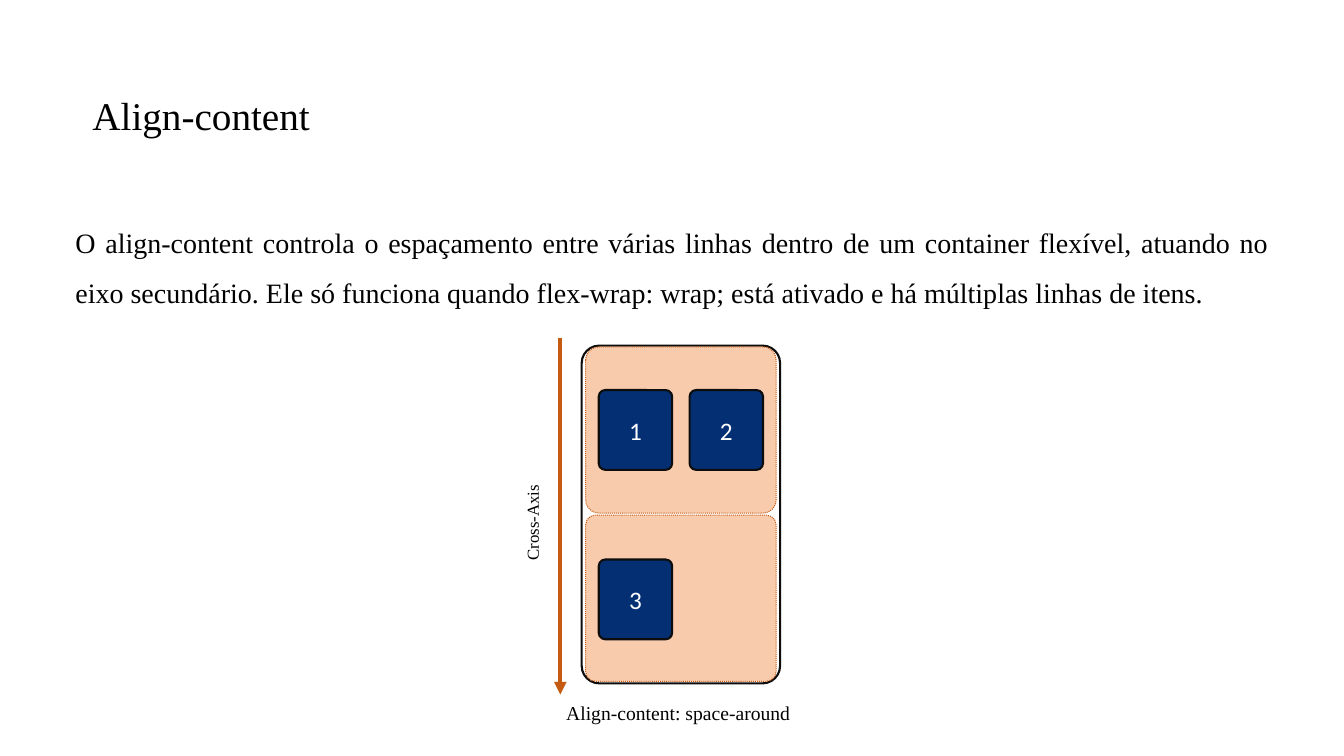
"""Build a slide that explains align-content with a space-around diagram."""
from pptx import Presentation
from pptx.dml.color import RGBColor
from pptx.enum.dml import MSO_LINE
from pptx.enum.shapes import MSO_CONNECTOR, MSO_SHAPE
from pptx.enum.text import MSO_ANCHOR, PP_ALIGN
from pptx.oxml.ns import qn
from pptx.util import Cm, Pt
from lxml.etree import SubElement

HUES = {
    "white": "FFFFFF", "black": "000000", "edge": "0D0D0D",
    "peach": "F8CBAD", "rust": "C55A11", "navy": "043073",
}
color = {name: RGBColor.from_string(code) for name, code in HUES.items()}

deck = Presentation()
deck.slide_width, deck.slide_height = Cm(33.87), Cm(19.05)
slide = deck.slides.add_slide(deck.slide_layouts[6])


def add_box(left, top, width, height, round_by, fill, edge, weight):
    box = slide.shapes.add_shape(
        MSO_SHAPE.ROUNDED_RECTANGLE, Cm(left), Cm(top), Cm(width), Cm(height))
    box.adjustments[0] = round_by
    box.shadow.inherit = False
    box.fill.solid()
    box.fill.fore_color.rgb = color[fill]
    box.line.color.rgb = color[edge]
    box.line.width = Pt(weight)
    return box


def add_text(left, top, width, height, text, size, wrap=True):
    label = slide.shapes.add_textbox(Cm(left), Cm(top), Cm(width), Cm(height))
    label.text_frame.word_wrap = wrap
    para = label.text_frame.paragraphs[0]
    para.text = text
    para.font.name = "Times New Roman"
    para.font.size = Pt(size)
    para.font.color.rgb = color["black"]
    return label, para


title, para = add_text(2.08, 2.36, 26.14, 1.24, "Align-content", 28)
title.text_frame.vertical_anchor = MSO_ANCHOR.MIDDLE
para.line_spacing = 0.9

body, para = add_text(
    1.65, 5.13, 30.58, 3.15,
    "O align-content controla o espaçamento entre várias linhas dentro de um "
    "container flexível, atuando no eixo secundário. Ele só funciona quando "
    "flex-wrap: wrap; está ativado e há múltiplas linhas de itens.", 20)
para.alignment = PP_ALIGN.JUSTIFY
para.line_spacing = 1.5

add_box(14.66, 8.71, 5, 8.51, 0.088, "white", "edge", 1.5)

for row, (round_by, items) in enumerate([(0.08, "12"), (0.059, "3")]):
    band = add_box(14.76, 8.74 + row * 4.24, 4.8, 4.19, round_by,
                   "peach", "rust", 0.75)
    band.line.dash_style = MSO_LINE.ROUND_DOT
    for col, item in enumerate(items):
        tile = add_box(15.09 + col * 2.29, 9.83 + row * 4.27, 1.85, 2.01,
                       0.088, "navy", "edge", 1.5)
        tile.text_frame.vertical_anchor = MSO_ANCHOR.MIDDLE
        para = tile.text_frame.paragraphs[0]
        para.text = item
        para.alignment = PP_ALIGN.CENTER
        para.font.name = "Calibri"
        para.font.size = Pt(18)
        para.font.color.rgb = color["white"]

axis = slide.shapes.add_connector(
    MSO_CONNECTOR.STRAIGHT, Cm(14.12), Cm(8.51), Cm(14.12), Cm(17.5))
axis.line.color.rgb = color["rust"]
axis.line.width = Pt(3)
SubElement(axis.line._get_or_add_ln(), qn("a:tailEnd"), type="triangle")
SubElement(axis._element.spPr, qn("a:effectLst"))

label, para = add_text(11.99, 12.57, 2.84, 0.76, "Cross-Axis", 12)
label.rotation = 270
add_text(14.02, 17.55, 6.25, 0.86, "Align-content: space-around", 14, False)

deck.save("out.pptx")
